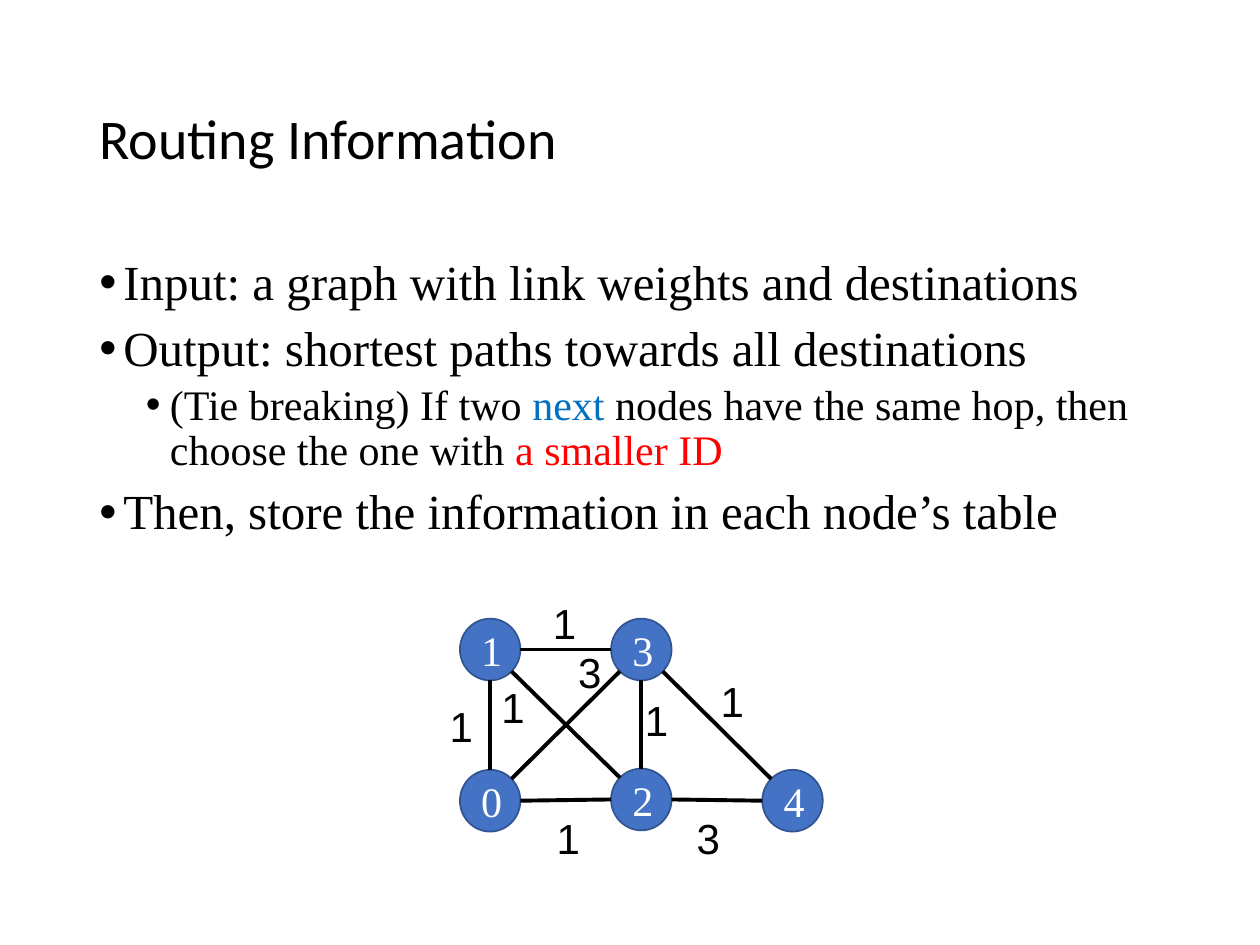
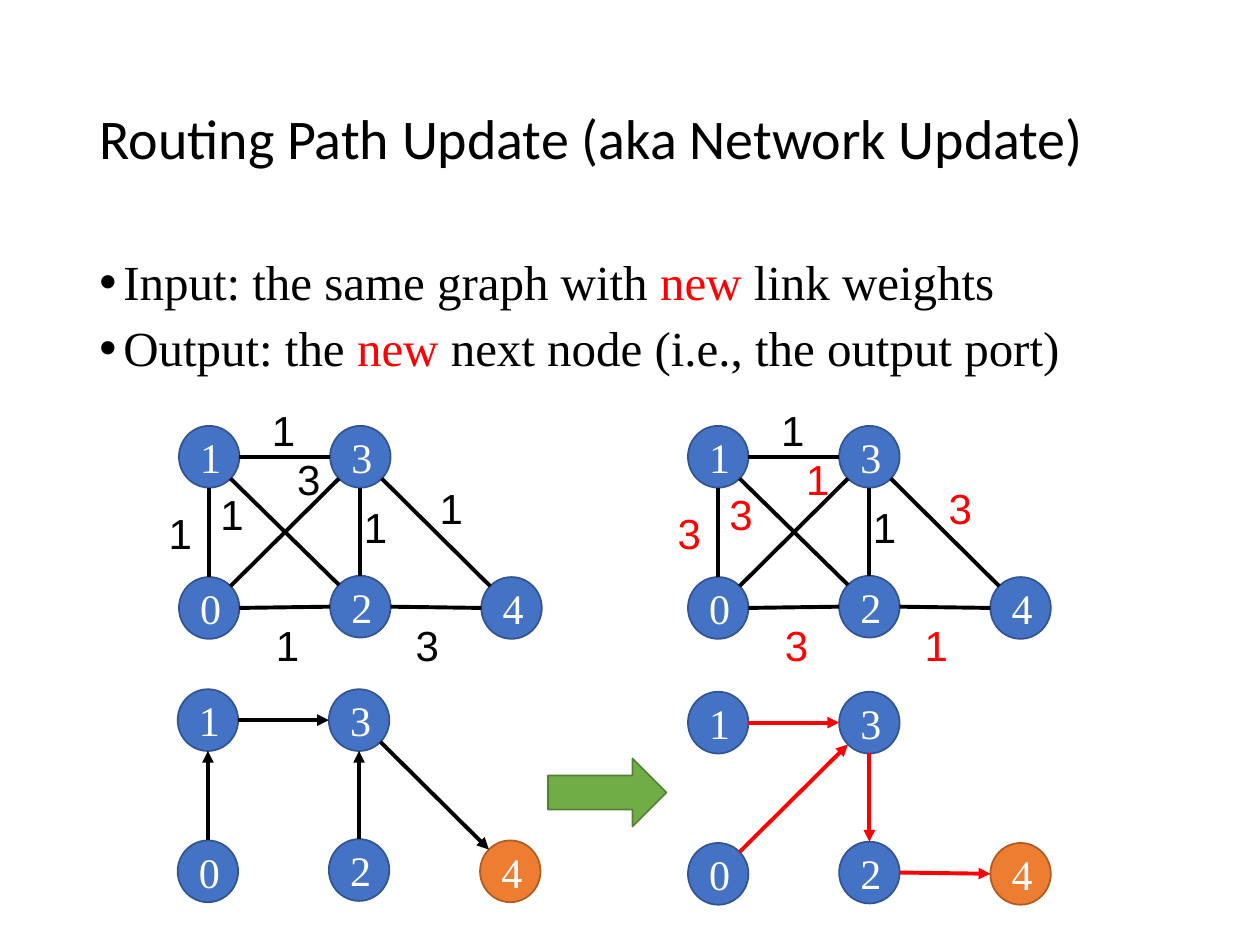
import math

from lxml import etree
from pptx import Presentation
from pptx.dml.color import RGBColor
from pptx.enum.shapes import MSO_CONNECTOR, MSO_SHAPE
from pptx.enum.text import MSO_ANCHOR, PP_ALIGN
from pptx.oxml.ns import qn
from pptx.util import Inches, Pt

STRAIGHT = MSO_CONNECTOR.STRAIGHT
ELLIPSE, RIGHT_ARROW = MSO_SHAPE.OVAL, MSO_SHAPE.RIGHT_ARROW
MIDDLE, CENTER = MSO_ANCHOR.MIDDLE, PP_ALIGN.CENTER

BLACK, WHITE, RED, BLUE_TEXT = "000000", "FFFFFF", "FF0000", "0070C0"
NODE_COLORS = ("4472C4", "325491")
DESTINATION_COLORS = ("ED7D31", "AF5C24")
UPDATE_COLORS = ("70AD47", "538035")
TITLE_FONT, BODY_FONT, WEIGHT_FONT = "Calibri", "Times New Roman", "Arial"

TITLE_BOX = (0.69, 0.4, 8.62, 1.45)
BODY_BOX = (0.69, 2, 8.62, 4.76)
HANG = 0.19
# Per bullet level: left margin, text size, space before
LEVELS = [(0.19, 28, 7.5), (0.56, 24, 3.8)]

# Node positions and link label positions, measured from the graph's corner
NODE_W, NODE_H = 0.48, 0.49
NODES = {0: (0, 1.2), 1: (0, 0), 2: (1.2, 1.19), 3: (1.2, 0), 4: (2.4, 1.2)}
DESTINATION = 4
LABELS = {
    (0, 1): (-0.18, 0.6), (1, 3): (0.64, -0.22), (3, 4): (1.97, 0.4),
    (0, 2): (0.67, 1.49), (2, 3): (1.37, 0.55), (2, 4): (1.78, 1.49),
    (0, 3): (0.84, 0.17), (1, 2): (0.23, 0.45),
}
OLD_WEIGHTS = dict(zip(LABELS, (1, 1, 1, 1, 1, 3, 3, 1)))
NEW_WEIGHTS = dict(zip(LABELS, (3, 1, 3, 3, 1, 1, 1, 3)))


def rgb(color):
    return RGBColor.from_string(color)


def add_run(paragraph, text, size, font, color):
    run = paragraph.add_run()
    run.text = text
    run.font.size, run.font.name = Pt(size), font
    run.font.color.rgb = rgb(color)


def add_text_frame(shapes, box, wrap=True):
    frame = shapes.add_textbox(*map(Inches, box)).text_frame
    frame.word_wrap = wrap
    return frame


def add_filled_shape(shapes, kind, box, colors):
    shape = shapes.add_shape(kind, *map(Inches, box))
    shape.shadow.inherit = False
    shape.fill.solid()
    shape.fill.fore_color.rgb = rgb(colors[0])
    shape.line.color.rgb = rgb(colors[1])
    shape.line.width = Pt(1)
    return shape


def add_title(slide, text):
    frame = add_text_frame(slide.shapes, TITLE_BOX)
    frame.vertical_anchor = MIDDLE
    frame.paragraphs[0].line_spacing = 0.9
    add_run(frame.paragraphs[0], text, 32, TITLE_FONT, BLACK)


def add_body(slide, bullets):
    """Each bullet is a level followed by (text, color) pieces."""
    frame = add_text_frame(slide.shapes, BODY_BOX)
    for i, (level, *pieces) in enumerate(bullets):
        paragraph = frame.add_paragraph() if i else frame.paragraphs[0]
        margin, size, space_before = LEVELS[level]
        props = paragraph._p.get_or_add_pPr()
        props.set("marL", str(Inches(margin)))
        props.set("indent", str(-Inches(HANG)))
        etree.SubElement(props, qn("a:buFont"), typeface="Arial")
        etree.SubElement(props, qn("a:buChar"), char="•")
        paragraph.level = level
        paragraph.line_spacing = 0.9
        if i:
            paragraph.space_before = Pt(space_before)
        for text, color in pieces:
            add_run(paragraph, text, size, BODY_FONT, color)


def rim_point(origin, node, toward):
    """Point on a node's rim, at the multiple of 45 degrees facing another node."""
    (x, y), (other_x, other_y) = NODES[node], NODES[toward]
    step = math.pi / 4
    angle = round(math.atan2(other_y - y, other_x - x) / step) * step
    return (Inches(origin[0] + x + NODE_W / 2 * (1 + math.cos(angle))),
            Inches(origin[1] + y + NODE_H / 2 * (1 + math.sin(angle))))


def add_link(shapes, origin, start, end, color=BLACK, arrow=False):
    link = shapes.add_connector(STRAIGHT, *rim_point(origin, start, end),
                                *rim_point(origin, end, start))
    link.line.color.rgb = rgb(color)
    link.line.width = Pt(2.25)
    if arrow:
        etree.SubElement(link.line._get_or_add_ln(), qn("a:tailEnd"), type="triangle")
    etree.SubElement(link._element.spPr, qn("a:effectLst"))


def add_nodes(shapes, origin, destination=None):
    for node, (x, y) in NODES.items():
        colors = DESTINATION_COLORS if node == destination else NODE_COLORS
        box = (origin[0] + x, origin[1] + y, NODE_W, NODE_H)
        frame = add_filled_shape(shapes, ELLIPSE, box, colors).text_frame
        frame.vertical_anchor = MIDDLE
        frame.paragraphs[0].alignment = CENTER
        add_run(frame.paragraphs[0], str(node), 24, BODY_FONT, WHITE)


def add_weighted_graph(slide, origin, weights):
    """All links with their weights; weights that differ from the old ones are red."""
    shapes = slide.shapes.add_group_shape().shapes
    add_nodes(shapes, origin)
    for start, end in LABELS:
        add_link(shapes, origin, start, end)
    for link, (x, y) in LABELS.items():
        frame = add_text_frame(shapes, (origin[0] + x, origin[1] + y, 0.39, 0.5), wrap=False)
        color = BLACK if weights[link] == OLD_WEIGHTS[link] else RED
        add_run(frame.paragraphs[0], str(weights[link]), 24, WEIGHT_FONT, color)


def add_routing_tree(slide, origin, hops, color):
    """Arrows from each node to its next node towards the destination."""
    shapes = slide.shapes.add_group_shape().shapes
    add_nodes(shapes, origin, DESTINATION)
    for start, end in hops:
        add_link(shapes, origin, start, end, color, arrow=True)


def add_content_slide(prs, title, bullets):
    slide = prs.slides.add_slide(prs.slide_layouts[6])
    add_body(slide, bullets)
    add_title(slide, title)
    return slide


def build_routing_information(prs):
    slide = add_content_slide(prs, "Routing Information", [
        (0, ("Input: a graph with link weights and destinations", BLACK)),
        (0, ("Output: shortest paths towards all destinations", BLACK)),
        (1, ("(Tie breaking) If two ", BLACK), ("next", BLUE_TEXT),
         (" nodes have the same hop, then choose the one with ", BLACK),
         ("a smaller ID", RED)),
        (0, ("Then, store the information in each node’s table", BLACK)),
    ])
    add_weighted_graph(slide, (3.65, 4.91), OLD_WEIGHTS)


def build_path_update(prs):
    slide = add_content_slide(prs, "Routing Path Update (aka Network Update)", [
        (0, ("Input: the same graph with ", BLACK), ("new", RED), (" link weights", BLACK)),
        (0, ("Output: the ", BLACK), ("new ", RED),
         ("next node (i.e., the output port)", BLACK)),
    ])
    # Before on the left, after on the right
    add_weighted_graph(slide, (1.42, 3.38), OLD_WEIGHTS)
    add_weighted_graph(slide, (5.46, 3.38), NEW_WEIGHTS)
    add_routing_tree(slide, (5.46, 5.49), [(0, 3), (1, 3), (3, 2), (2, 4)], RED)
    add_routing_tree(slide, (1.41, 5.47), [(0, 1), (1, 3), (3, 4), (2, 3)], BLACK)
    add_filled_shape(slide.shapes, RIGHT_ARROW, (4.35, 6.02, 0.94, 0.54), UPDATE_COLORS)


def main():
    prs = Presentation()
    prs.slide_width, prs.slide_height = Inches(10), Inches(7.5)
    build_routing_information(prs)
    build_path_update(prs)
    prs.save("out.pptx")


if __name__ == "__main__":
    main()
